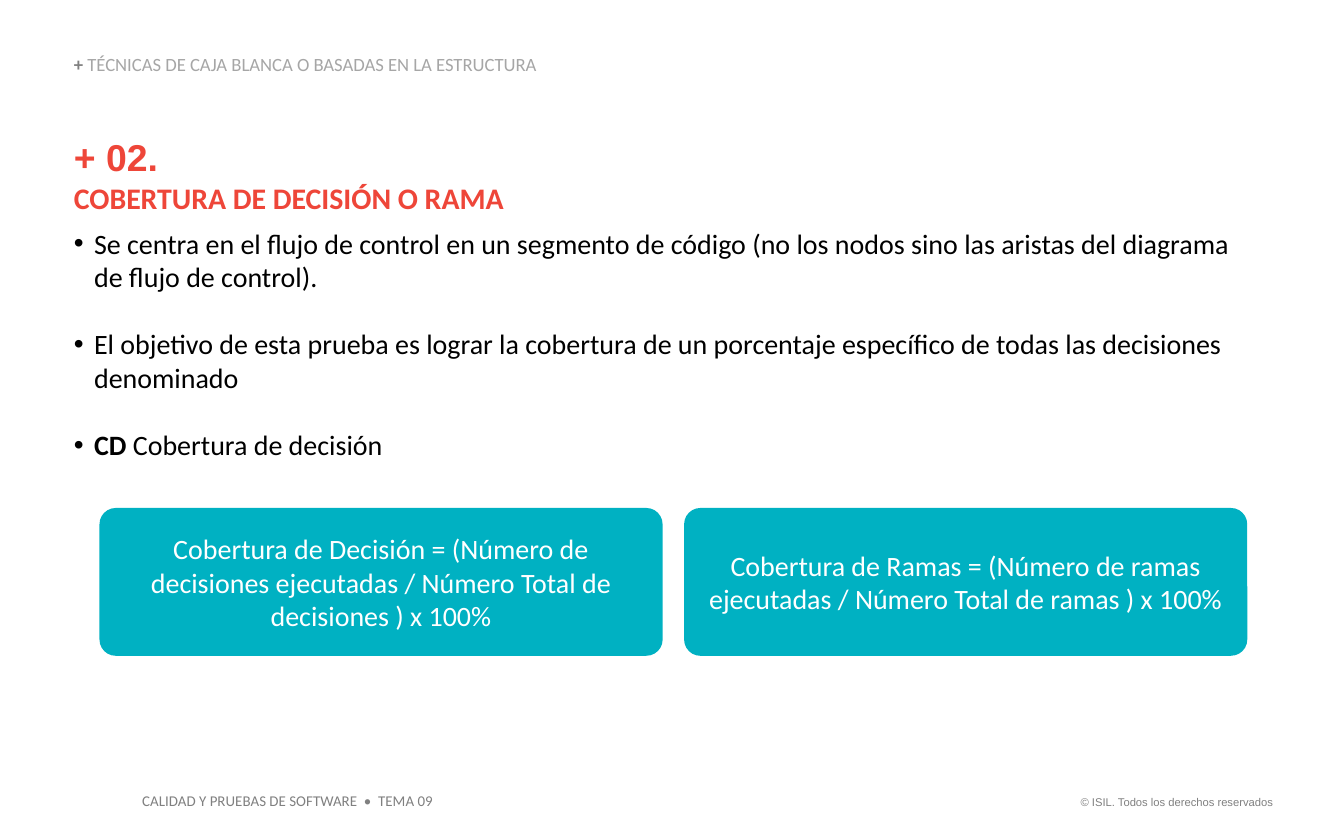
import pptx
import pptx.util
import pptx.dml.color
import pptx.enum.shapes
import pptx.enum.text
import pptx.oxml.ns
import lxml.etree

WIDE, HIGH = 10, 6.25
LEFT, CARD, STEP = 0.55, 0.74, 4.35
ALIGN = pptx.enum.text.PP_ALIGN
ANCHOR = pptx.enum.text.MSO_ANCHOR
FLUSH = {f"margin_{side}": 0 for side in ("left", "top", "right", "bottom")}
WRAP = {"word_wrap": True, "auto_size": pptx.enum.text.MSO_AUTO_SIZE.NONE}
GREY, RED, TEAL = "808080", "EE4639", "00B1C2"


def hue(code):
    return pptx.dml.color.RGBColor.from_string(code)


def apply(item, form):
    for name, value in form.items():
        setattr(item, name, value)


def place(*sides):
    return [pptx.util.Inches(side) for side in sides]


def write(para, text, size, color, bold=False, face="Calibri"):
    run = para.add_run()
    run.text = text
    apply(run.font, {"size": pptx.util.Pt(size), "bold": bold, "name": face})
    run.font.color.rgb = hue(color)


def add_box(slide, area, form):
    frame = slide.shapes.add_textbox(*place(*area)).text_frame
    apply(frame, form)
    return frame


def add_head(slide):
    title = slide.shapes.title
    spots = zip(("left", "top", "width", "height"), place(LEFT, 0.41, 3.61, 0.15))
    apply(title, dict(spots))
    frame = title.text_frame
    apply(frame, FLUSH | WRAP | {"vertical_anchor": ANCHOR.BOTTOM})
    para = frame.paragraphs[0]
    apply(para, {"alignment": ALIGN.LEFT, "line_spacing": 0.9})
    write(para, "+ ", 10, GREY, True)
    write(para, "TÉCNICAS DE CAJA BLANCA O BASADAS EN LA ESTRUCTURA", 10, "A6A6A6")


def add_point(frame, parts, gap):
    para = frame.add_paragraph()
    para.space_after = pptx.util.Pt(gap)
    props = para._p.get_or_add_pPr()
    indent = pptx.util.Inches(0.15)
    props.set("marL", str(indent))
    props.set("indent", str(-indent))
    tag = pptx.oxml.ns.qn
    tint = lxml.etree.SubElement(props, tag("a:buClr"))
    lxml.etree.SubElement(tint, tag("a:srgbClr")).set("val", "000000")
    lxml.etree.SubElement(props, tag("a:buFont")).set("typeface", "Arial")
    lxml.etree.SubElement(props, tag("a:buChar")).set("char", "•")
    for text, bold in parts:
        write(para, text, 15, "000000", bold)


def add_body(slide):
    frame = add_box(slide, (LEFT, 1, 8.72, 2.46), FLUSH | WRAP)
    para = frame.paragraphs[0]
    para.space_after = pptx.util.Pt(6)
    write(para, "+ 02.", 20, RED, True, "Arial")
    para.add_line_break()
    write(para, "COBERTURA DE DECISIÓN O RAMA", 16, RED, True)
    add_point(frame, [("Se centra en el flujo de control en un segmento de código (no los nodos sino las aristas del diagrama de flujo de control).", False)], 18)
    add_point(frame, [("El objetivo de esta prueba es lograr la cobertura de un porcentaje específico de todas las decisiones denominado", False)], 18)
    add_point(frame, [("CD ", True), ("Cobertura de decisión", False)], 0)


def add_card(slide, col, text):
    kind = pptx.enum.shapes.MSO_SHAPE.ROUNDED_RECTANGLE
    card = slide.shapes.add_shape(kind, *place(CARD + col * STEP, 3.78, 4.19, 1.1))
    card.adjustments[0] = 0.11
    card.shadow.inherit = False
    card.fill.solid()
    card.fill.fore_color.rgb = hue(TEAL)
    card.line.fill.background()
    frame = card.text_frame
    apply(frame, WRAP | {"vertical_anchor": ANCHOR.MIDDLE})
    para = frame.paragraphs[0]
    para.alignment = ALIGN.CENTER
    write(para, text, 15, "FFFFFF")


def add_foot(slide, area, text, size, face, align):
    frame = add_box(slide, area, {"word_wrap": False})
    para = frame.paragraphs[0]
    para.alignment = align
    write(para, text, size, GREY, face=face)


def main():
    deck = pptx.Presentation()
    apply(deck, dict(zip(("slide_width", "slide_height"), place(WIDE, HIGH))))
    slide = deck.slides.add_slide(deck.slide_layouts[5])
    add_foot(slide, (7.88, 5.87, 1.69, 0.2), "© ISIL. Todos los derechos reservados", 6, "Arial", ALIGN.RIGHT)
    add_foot(slide, (0.96, 5.84, 2.37, 0.24), "CALIDAD Y PRUEBAS DE SOFTWARE  •  TEMA 09", 8, "Calibri", ALIGN.LEFT)
    add_head(slide)
    cards = (
        "Cobertura de Decisión = (Número de decisiones ejecutadas / Número Total de decisiones ) x 100%",
        "Cobertura de Ramas = (Número de ramas ejecutadas / Número Total de ramas ) x 100%",
    )
    for col, text in enumerate(cards):
        add_card(slide, col, text)
    add_body(slide)
    deck.save("out.pptx")


if __name__ == "__main__":
    main()
